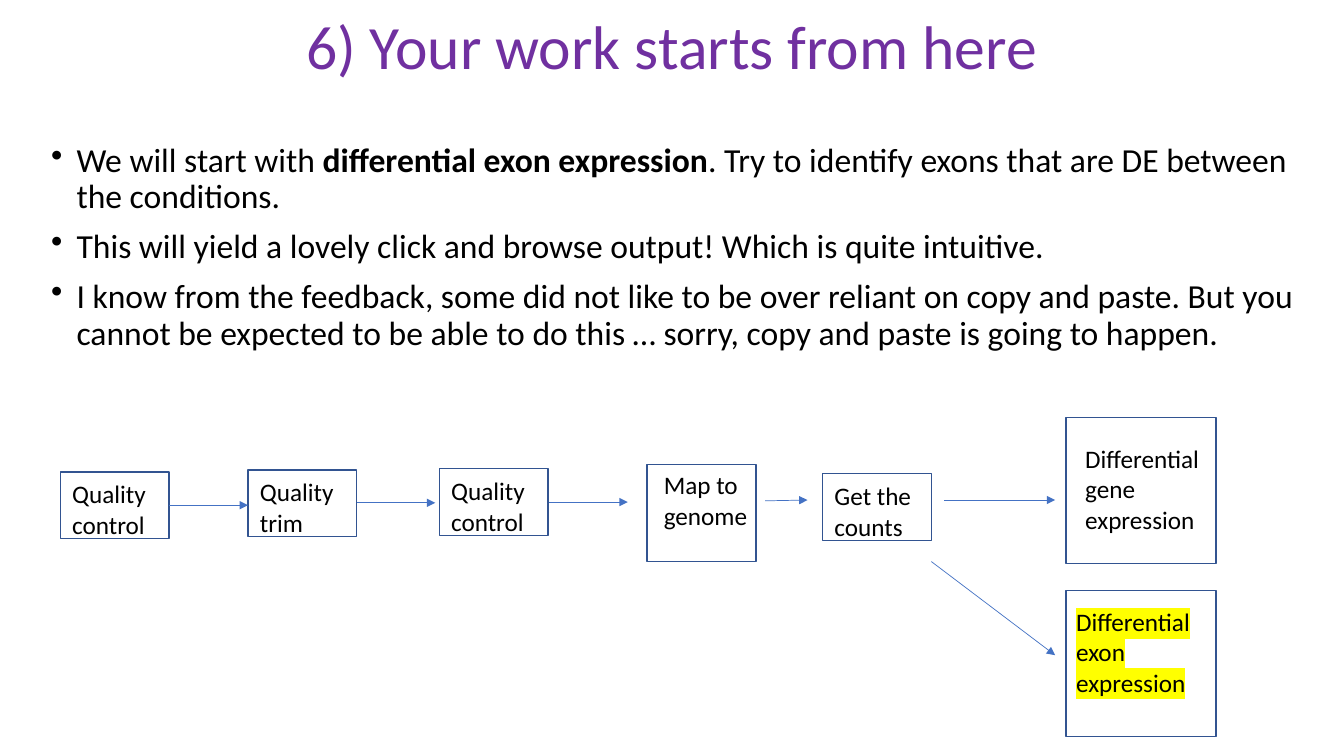
from dataclasses import dataclass

from lxml import etree
from pptx import Presentation, util as u
from pptx.dml.color import RGBColor
from pptx.enum import shapes, text
from pptx.oxml.ns import qn

FONT = "Calibri"
BLACK, PURPLE, YELLOW = "000000", "7030A0", "FFFF00"
BOX_LINE, ARROW_LINE = "325491", "4472C4"


@dataclass
class Step:
    """One box of the workflow, with its label set off by dx and dy (cm)."""
    label: str
    x: float
    y: float
    w: float = 2.74
    h: float = 1.68
    dx: float = 0.05
    dy: float = 0.05
    label_w: float = 2.57
    label_h: float = 1.8
    highlight: str = ""


@dataclass
class Arrow:
    x1: float
    y1: float
    x2: float
    y2: float


BULLETS = [
    [("We will start with ", False), ("differential exon expression", True),
     (". Try to identify exons that are DE between the conditions.", False)],
    [("This will yield a lovely click and browse output! Which is quite intuitive.", False)],
    [("I know from the feedback, some did not like to be over reliant on copy and paste. "
      "But you cannot be expected to be able to do this … sorry, copy and paste is going "
      "to happen.", False)],
]

STEPS = [
    Step("Quality control", 1.52, 11.89),
    Step("Quality trim", 6.25, 11.84),
    Step("Quality control", 11.07, 11.81),
    Step("Map to genome", 16.31, 11.71, h=2.44, dx=0.17, dy=0, label_w=2.77),
    Step("Get the counts", 20.73, 11.94),
    Step("Differential gene expression", 26.87, 10.52, 3.78, 3.68,
         dx=0.23, dy=0.53, label_w=3.78, label_h=2.57),
    Step("Differential exon expression", 26.87, 14.88, 3.78, 3.68,
         dx=0, dy=0.28, label_w=3.78, label_h=2.57, highlight=YELLOW),
]

ARROWS = [
    Arrow(4.27, 12.73, 6.25, 12.73),
    Arrow(8.99, 12.67, 10.97, 12.67),
    Arrow(13.84, 12.65, 15.82, 12.65),
    Arrow(19.28, 12.62, 20.35, 12.6),
    Arrow(23.8, 12.6, 26.59, 12.6),
    Arrow(23.47, 14.15, 26.59, 16.51),
]


def rgb(value: str) -> RGBColor:
    return RGBColor.from_string(value)


def add_text_frame(s, x: float, y: float, w: float, h: float):
    tf = s.shapes.add_textbox(u.Cm(x), u.Cm(y), u.Cm(w), u.Cm(h)).text_frame
    tf.word_wrap = True
    return tf


def set_font(p, size: float, color: str = BLACK) -> None:
    p.font.name = FONT
    p.font.size = u.Pt(size)
    p.font.color.rgb = rgb(color)


def add_title(s, title: str) -> None:
    tf = add_text_frame(s, 2.33, -0.58, 29.21, 3.68)
    tf.vertical_anchor = text.MSO_ANCHOR.MIDDLE
    p = tf.paragraphs[0]
    p.text = title
    p.alignment = text.PP_ALIGN.CENTER
    p.line_spacing = 0.9
    set_font(p, 44, PURPLE)


def add_bullets(s) -> None:
    tf = add_text_frame(s, 1.04, 3.48, 32.51, 14.43)
    for i, parts in enumerate(BULLETS):
        p = tf.add_paragraph() if i else tf.paragraphs[0]
        p.line_spacing = 0.9
        p.space_before = u.Pt(10)
        set_font(p, 24)
        for words, bold in parts:
            r = p.add_run()
            r.text = words
            r.font.bold = bold
        props = p._p.get_or_add_pPr()
        indent = u.Cm(0.64)
        props.set("marL", str(indent))
        props.set("indent", str(-indent))
        bullet = etree.Element(qn("a:buChar"), char="•")
        props.find(qn("a:defRPr")).addprevious(bullet)


def add_step(s, step: Step) -> None:
    sp = s.shapes.add_shape(shapes.MSO_SHAPE.RECTANGLE, u.Cm(step.x), u.Cm(step.y),
                            u.Cm(step.w), u.Cm(step.h))
    sp.shadow.inherit = False
    sp.fill.background()
    sp.line.color.rgb = rgb(BOX_LINE)
    sp.line.width = u.Pt(1)

    tf = add_text_frame(s, step.x + step.dx, step.y + step.dy, step.label_w, step.label_h)
    p = tf.paragraphs[0]
    set_font(p, 18)
    r = p.add_run()
    r.text = step.label
    if step.highlight:
        mark = etree.SubElement(r._r.get_or_add_rPr(), qn("a:highlight"))
        etree.SubElement(mark, qn("a:srgbClr"), val=step.highlight)


def add_arrow(s, arrow: Arrow) -> None:
    line = s.shapes.add_connector(shapes.MSO_CONNECTOR.STRAIGHT, u.Cm(arrow.x1),
                                  u.Cm(arrow.y1), u.Cm(arrow.x2), u.Cm(arrow.y2))
    line.line.color.rgb = rgb(ARROW_LINE)
    line.line.width = u.Pt(0.5)
    etree.SubElement(line.line._get_or_add_ln(), qn("a:tailEnd"), type="triangle")
    etree.SubElement(line._element.spPr, qn("a:effectLst"))


def main() -> None:
    prs = Presentation()
    prs.slide_width, prs.slide_height = u.Cm(33.87), u.Cm(19.05)
    s = prs.slides.add_slide(prs.slide_layouts[6])
    add_title(s, "6) Your work starts from here")
    add_bullets(s)
    for step in STEPS:
        add_step(s, step)
    for arrow in ARROWS:
        add_arrow(s, arrow)
    prs.save("out.pptx")


if __name__ == "__main__":
    main()
